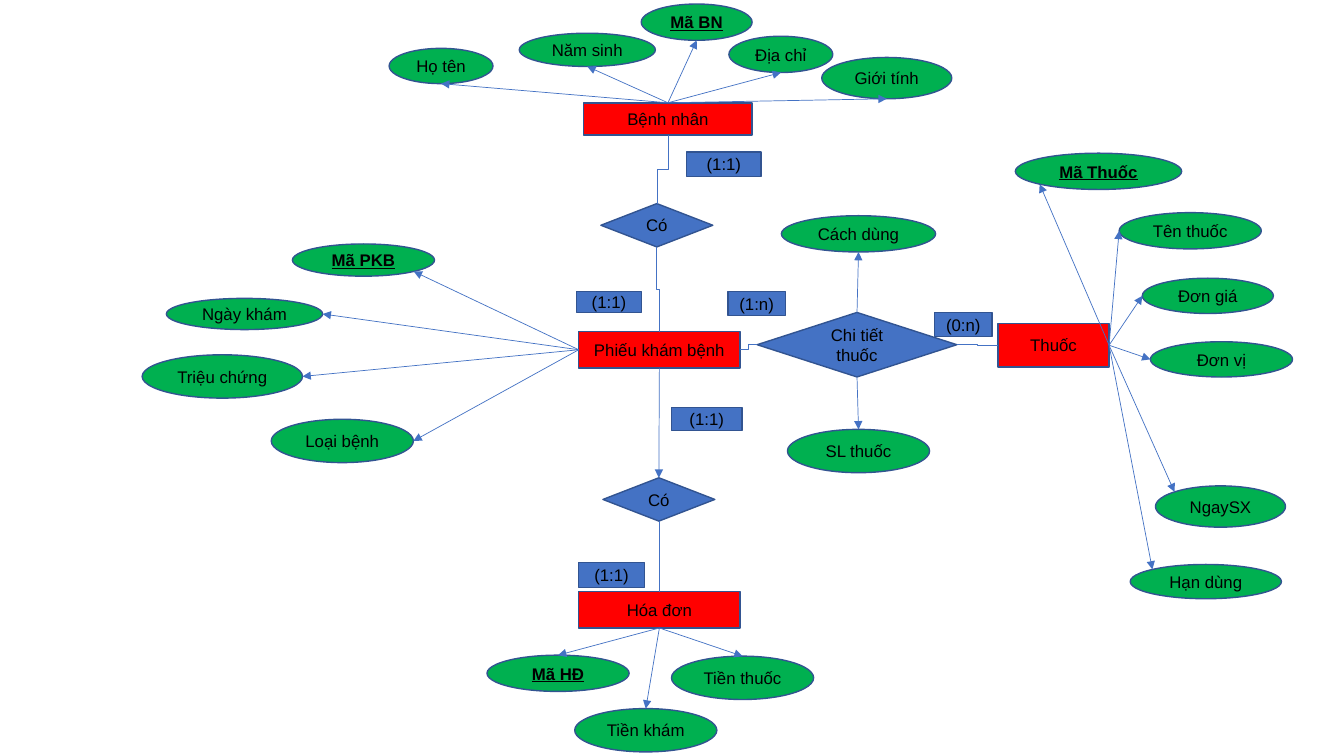
from math import sqrt
from lxml.etree import SubElement
from pptx import Presentation
from pptx.dml.color import RGBColor
from pptx.enum.shapes import MSO_CONNECTOR, MSO_SHAPE
from pptx.enum.text import MSO_ANCHOR, PP_ALIGN
from pptx.oxml.ns import qn
from pptx.util import Inches, Pt

WIDTH, HEIGHT = Inches(13.33), Inches(7.5)
COLUMNS, ROWS = 1333, 750
RED, GREEN, BLUE, EDGE, BLACK = "FF0000", "00B050", "4472C4", "325491", "000000"
NEAR, FAR = (1 - sqrt(0.5)) / 2, (1 + sqrt(0.5)) / 2

BOX_SITES = {"top": (0, 0.5, 0), "left": (1, 0, 0.5),
             "bottom": (2, 0.5, 1), "right": (3, 1, 0.5)}
OVAL_SITES = {"top": (0, 0.5, 0), "top left": (1, NEAR, NEAR), "left": (2, 0, 0.5),
              "bottom left": (3, NEAR, FAR), "bottom": (4, 0.5, 1),
              "bottom right": (5, FAR, FAR), "right": (6, 1, 0.5)}

ENTITIES = [
    ("Bệnh nhân", 579, 102, 167, 32),
    ("Thuốc", 990, 321, 110, 43),
    ("Phiếu khám bệnh", 574, 329, 160, 36),
    ("Hóa đơn", 574, 587, 160, 36),
]
RELATIONSHIPS = [
    ("visit", "Có", 596, 202, 111, 43),
    ("detail", "Chi tiết thuốc", 751, 310, 198, 64),
    ("billing", "Có", 598, 474, 111, 43),
]
CARDINALITIES = [
    ("(1:1)", 681, 151, 74, 24), ("(1:1)", 572, 289, 64, 21),
    ("(1:n)", 722, 289, 57, 24), ("(0:n)", 927, 310, 57, 24),
    ("(1:1)", 666, 404, 70, 23), ("(1:1)", 574, 558, 65, 25),
]
ATTRIBUTES = {
    ("Bệnh nhân", "top"): [
        ("Họ tên", 386, 48, 103, 35, "bottom"),
        ("Năm sinh", 515, 33, 135, 33, "bottom"),
        ("Mã BN", 636, 4, 110, 36, "bottom"),
        ("Địa chỉ", 723, 36, 103, 36, "bottom"),
        ("Giới tính", 815, 57, 129, 41, "bottom")],
    ("Phiếu khám bệnh", "left"): [
        ("Mã PKB", 290, 242, 141, 32, "bottom right"),
        ("Ngày khám", 165, 296, 155, 31, "right"),
        ("Triệu chứng", 141, 352, 159, 43, "right"),
        ("Loại bệnh", 269, 416, 141, 43, "right")],
    ("Thuốc", "right"): [
        ("Mã Thuốc", 1007, 152, 165, 36, "bottom left"),
        ("Tên thuốc", 1110, 211, 141, 36, "left"),
        ("Đơn giá", 1133, 276, 130, 35, "left"),
        ("Đơn vị", 1141, 339, 141, 35, "left"),
        ("NgaySX", 1146, 482, 129, 41, "top left"),
        ("Hạn dùng", 1121, 560, 150, 34, "top left")],
    ("Hóa đơn", "bottom"): [
        ("Mã HĐ", 483, 650, 141, 36, "top"),
        ("Tiền khám", 570, 703, 141, 43, "top"),
        ("Tiền thuốc", 666, 651, 141, 43, "top")],
    ("detail", "top"): [("Cách dùng", 775, 214, 153, 36, "bottom")],
    ("detail", "bottom"): [("SL thuốc", 781, 426, 141, 43, "top")],
}
ELBOWS = [
    ("Bệnh nhân", "bottom", "visit", "top"),
    ("visit", "bottom", "Phiếu khám bệnh", "top"),
    ("Phiếu khám bệnh", "right", "detail", "left"),
    ("detail", "right", "Thuốc", "left"),
    ("billing", "bottom", "Hóa đơn", "top"),
]


def paint(target, color):
    """Give a fill or font color format a hex color."""
    target.rgb = RGBColor.from_string(color)


def across(columns):
    """Turn grid columns into a length."""
    return round(WIDTH * columns / COLUMNS)


def down(rows):
    """Turn grid rows into a length."""
    return round(HEIGHT * rows / ROWS)


def add_node(page, kind, color, label, left, top, width, height):
    """Add a labelled shape; labels that start with Mã are keys."""
    node = page.shapes.add_shape(kind, across(left), down(top), across(width), down(height))
    node.shadow.inherit = False
    node.fill.solid()
    paint(node.fill.fore_color, color)
    paint(node.line.color, EDGE)
    node.line.width = Pt(1)
    frame = node.text_frame
    frame.text = label
    frame.word_wrap = True
    frame.vertical_anchor = MSO_ANCHOR.MIDDLE
    para = frame.paragraphs[0]
    para.alignment = PP_ALIGN.CENTER
    font = para.runs[0].font
    font.name, font.size = "Arial", Pt(12)
    paint(font.color, BLACK)
    if label.startswith("Mã "):
        font.bold = font.underline = True
    return node


def find_site(node, side):
    """Return the connection index and the point on one side of a node."""
    sites = OVAL_SITES if node.auto_shape_type == MSO_SHAPE.OVAL else BOX_SITES
    index, share_x, share_y = sites[side]
    return index, round(node.left + share_x * node.width), round(node.top + share_y * node.height)


def add_link(page, start, start_side, end, end_side, elbow=False, arrow=False):
    """Join two nodes with a glued line, turning elbows that run downwards."""
    start_index, x1, y1 = find_site(start, start_side)
    end_index, x2, y2 = find_site(end, end_side)
    turned = elbow and start_side == "bottom"
    if turned:
        center_x, center_y, run, rise = (x1 + x2) // 2, (y1 + y2) // 2, y2 - y1, x2 - x1
        x1, y1 = center_x - run // 2, center_y + rise // 2
        x2, y2 = center_x + run // 2, center_y - rise // 2
    kind = MSO_CONNECTOR.ELBOW if elbow else MSO_CONNECTOR.STRAIGHT
    link = page.shapes.add_connector(kind, x1, y1, x2, y2)
    paint(link.line.color, BLUE)
    link.line.width = Pt(0.5)
    properties = link.element.spPr
    if turned:
        properties.find(qn("a:xfrm")).set("rot", "5400000")
    if arrow:
        SubElement(properties.find(qn("a:ln")), qn("a:tailEnd"), type="triangle")
    SubElement(properties, qn("a:effectLst"))
    glue = link.element.find(".//" + qn("p:cNvCxnSpPr"))
    for tag, node, index in (("a:stCxn", start, start_index), ("a:endCxn", end, end_index)):
        SubElement(glue, qn(tag), id=str(node.shape_id), idx=str(index))


def main():
    """Build the entity relationship diagram of the clinic."""
    deck = Presentation()
    deck.slide_width, deck.slide_height = WIDTH, HEIGHT
    page = deck.slides.add_slide(deck.slide_layouts[6])
    nodes = {}
    for label, *place in ENTITIES:
        nodes[label] = add_node(page, MSO_SHAPE.RECTANGLE, RED, label, *place)
    for name, label, *place in RELATIONSHIPS:
        nodes[name] = add_node(page, MSO_SHAPE.FLOWCHART_DECISION, BLUE, label, *place)
    for label, *place in CARDINALITIES:
        add_node(page, MSO_SHAPE.RECTANGLE, BLUE, label, *place)
    for (owner, side), attributes in ATTRIBUTES.items():
        for label, *place, end_side in attributes:
            oval = add_node(page, MSO_SHAPE.OVAL, GREEN, label, *place)
            add_link(page, nodes[owner], side, oval, end_side, arrow=True)
    for start, start_side, end, end_side in ELBOWS:
        add_link(page, nodes[start], start_side, nodes[end], end_side, elbow=True)
    add_link(page, nodes["Phiếu khám bệnh"], "bottom", nodes["billing"], "top", arrow=True)
    deck.save("out.pptx")


main()
